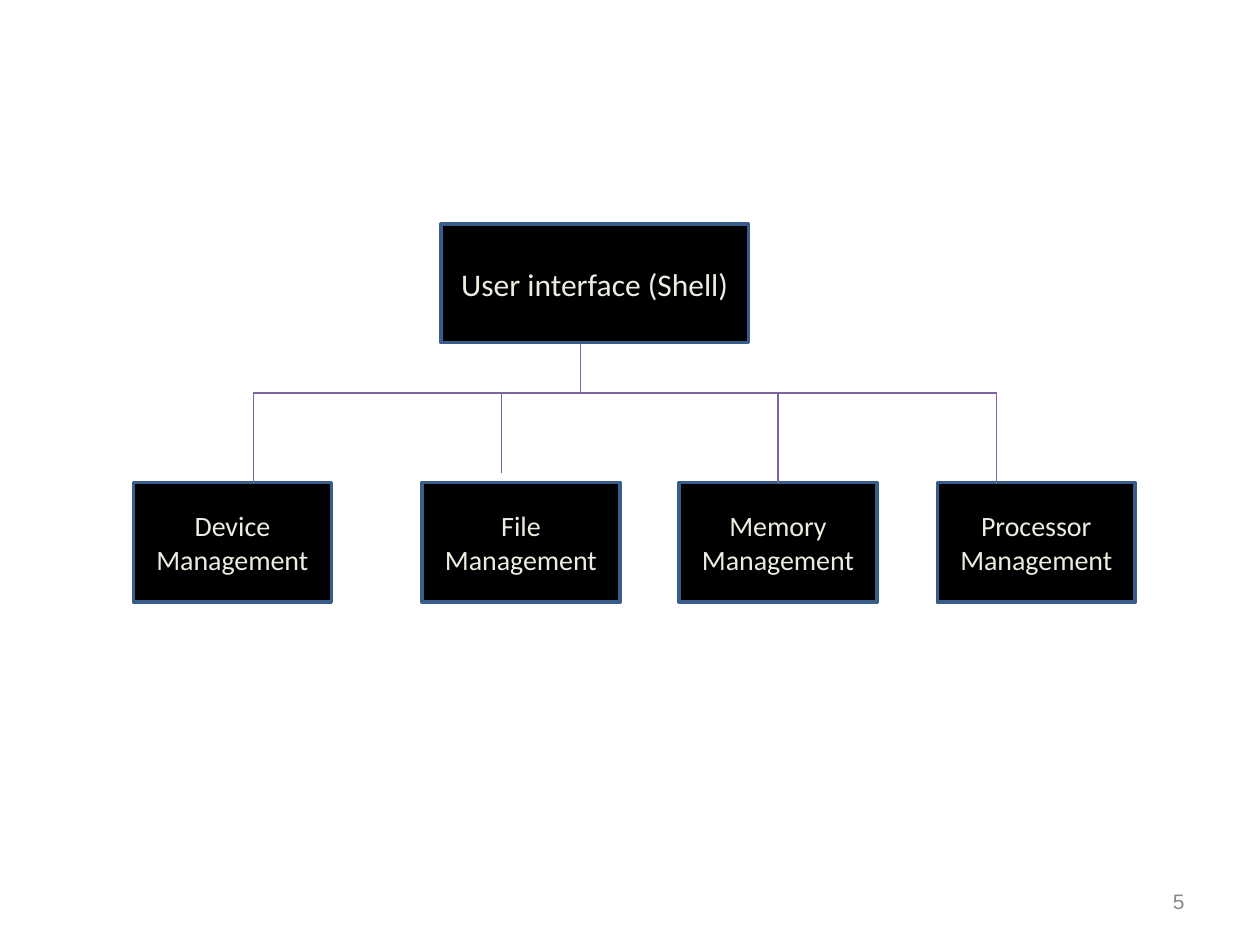
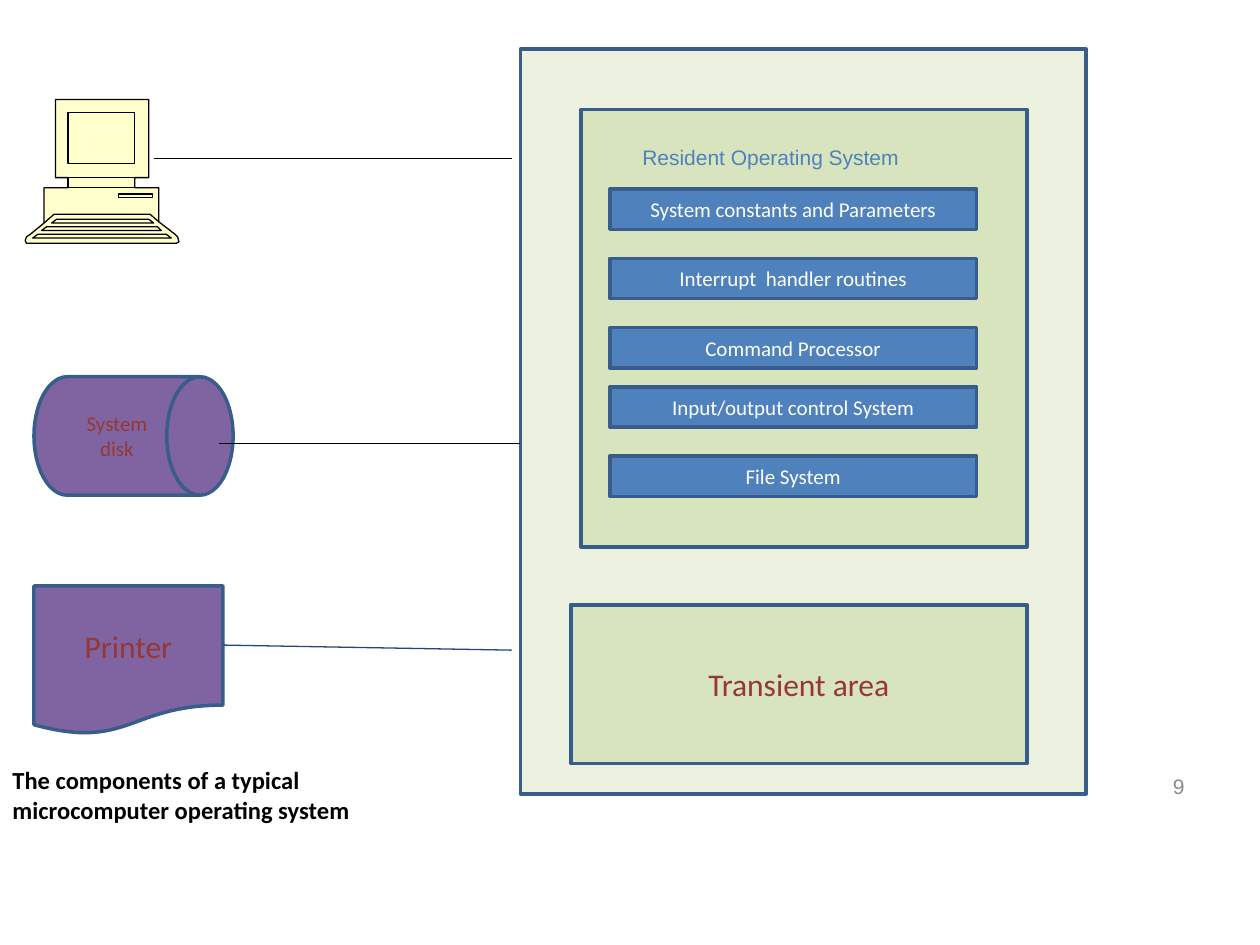
from lxml import etree
from pptx import Presentation
from pptx.dml.color import RGBColor
from pptx.enum.shapes import MSO_CONNECTOR, MSO_SHAPE
from pptx.enum.text import MSO_ANCHOR, PP_ALIGN
from pptx.oxml.ns import qn
from pptx.util import Inches, Pt

RECT = MSO_SHAPE.RECTANGLE
DRUM = MSO_SHAPE.FLOWCHART_MAGNETIC_DISK
DRUM = MSO_SHAPE.FLOWCHART_DIRECT_ACCESS_STORAGE
PAPER = MSO_SHAPE.FLOWCHART_DOCUMENT
STRAIGHT = MSO_CONNECTOR.STRAIGHT
LEFT, MID, RIGHT = PP_ALIGN.LEFT, PP_ALIGN.CENTER, PP_ALIGN.RIGHT
TOP, CENTER, BOTTOM = MSO_ANCHOR.TOP, MSO_ANCHOR.MIDDLE, MSO_ANCHOR.BOTTOM

EDGE, BLACK, CREAM, PURPLE = "385D8A", "000000", "EEECE1", "8064A2"
BLUE, WHITE, RED, GREEN = "4F81BD", "FFFFFF", "953735", "D7E4BD"
PALE, NAVY, GREY, YELLOW = "EBF1DE", "1F497D", "898989", "FFFFCC"

SHELL = ("User interface (Shell)", (3.5, 1.78, 2.44, 0.94))
UNITS = [
    ("Device Management", 1.06, 2.01, 3.83),
    ("File Management", 3.35, 3.98, 3.75),
    ("Memory Management", 5.39, 6.175, 3.83),
    ("Processor Management", 7.44, 7.91, 3.83),
]
BUS, STEM = 3.12, 4.61

CAPTION = "The components of a typical microcomputer operating system"
PARTS = [
    ("System constants and Parameters", 1.5),
    ("Interrupt  handler routines", 2.05),
    ("Command Processor", 2.6),
    ("Input/output control System", 3.07),
    ("File System", 3.62),
]
PANELS = [
    (RECT, (4.13, 0.39, 4.49, 5.91), PALE, "", 12),
    (RECT, (4.61, 0.87, 3.54, 3.47), GREEN, "", 12),
    (RECT, (4.53, 4.8, 3.62, 1.26), GREEN, "Transient area", 18),
    (DRUM, (0.27, 2.99, 1.58, 0.94), PURPLE, "System disk", 12),
    (PAPER, (0.27, 4.65, 1.5, 1.18), PURPLE, "Printer", 18),
]
WIRES = [
    ((1.22, 1.26), (4.06, 1.26), BLACK),
    ((1.74, 3.52), (4.13, 3.52), BLACK),
    ((1.77, 5.12), (4.06, 5.16), NAVY),
]
BODY = [
    (1.39, 1.86), (1.26, 1.76), (1.26, 1.49), (1.07, 1.49), (1.07, 1.41),
    (1.18, 1.41), (1.18, 0.79), (0.44, 0.79), (0.44, 1.41), (0.54, 1.41),
    (0.54, 1.49), (0.35, 1.49), (0.35, 1.77), (0.24, 1.86), (0.21, 1.88),
    (0.2, 1.91), (0.21, 1.93), (1.4, 1.93), (1.42, 1.92), (1.41, 1.88),
]
KEYS = [
    [(0.35, 1.77), (0.43, 1.7), (1.19, 1.7), (1.26, 1.76)],
    [(1.22, 1.77), (1.18, 1.74), (0.45, 1.74), (0.41, 1.77)],
    [(1.28, 1.83), (1.25, 1.8), (0.37, 1.8), (0.33, 1.83)],
    [(1.36, 1.89), (1.32, 1.86), (0.3, 1.86), (0.26, 1.89)],
]
PANES = [(0.54, 0.89, 0.53, 0.41), (0.54, 1.41, 0.53, 0.08), (0.94, 1.54, 0.27, 0.03)]


def color(code):
    return RGBColor.from_string(code)


def paint(shape, fill, edge=EDGE, width=2):
    shape.shadow.inherit = False
    shape.fill.solid()
    shape.fill.fore_color.rgb = color(fill)
    shape.line.color.rgb = color(edge)
    shape.line.width = Pt(width)


def write(shape, text, size, ink, align=MID, anchor=CENTER, face="Calibri", bold=False):
    frame = shape.text_frame
    frame.word_wrap = True
    frame.vertical_anchor = anchor
    para = frame.paragraphs[0]
    para.text = text
    para.alignment = align
    form = {"size": Pt(size), "name": face, "bold": bold}
    for key, value in form.items():
        setattr(para.font, key, value)
    para.font.color.rgb = color(ink)


def block(slide, kind, area, fill, text="", size=12, ink=WHITE):
    shape = slide.shapes.add_shape(kind, *map(Inches, area))
    paint(shape, fill)
    if text:
        write(shape, text, size, ink)
    return shape


def label(slide, area, *args, **form):
    write(slide.shapes.add_textbox(*map(Inches, area)), *args, **form)


def number(slide, text, top):
    label(slide, (7.17, top, 2.33, 0.4), text, 12, GREY, align=RIGHT, face="Arial")


def wire(slide, start, end, ink):
    line = slide.shapes.add_connector(STRAIGHT, *map(Inches, start + end))
    line.line.color.rgb = color(ink)
    line.line.width = Pt(0.75)
    etree.SubElement(line._element.spPr, qn("a:effectLst"))
    return line


def outline(slide, points, close=True):
    dots = [(Inches(x), Inches(y)) for x, y in points]
    pen = slide.shapes.build_freeform(*dots[0])
    pen.add_line_segments(dots[1:], close=close)
    paint(pen.convert_to_shape(), YELLOW, BLACK, 0.75)


def draw_tree(slide):
    number(slide, "5", 6.95)
    name, area = SHELL
    block(slide, RECT, area, BLACK, name, 18, CREAM)
    wire(slide, (UNITS[0][2], BUS), (UNITS[-1][2], BUS), PURPLE)
    wire(slide, (STEM, 2.73), (STEM, BUS), PURPLE)
    wide = 1.57
    for name, left, drop, foot in UNITS:
        box = block(slide, RECT, (left, 3.83, wide, 0.95), BLACK, name, 16, CREAM)
        line = wire(slide, (drop, BUS), (drop, foot), PURPLE)
        if abs(left + wide / 2 - drop) < 0.01:
            line.end_connect(box, 0)


def draw_system(slide):
    label(slide, (0, 5.97, 3.58, 0.62), CAPTION, 14, BLACK,
          align=LEFT, anchor=BOTTOM, bold=True)
    number(slide, "9", 6.04)
    outline(slide, BODY)
    for row, points in enumerate(KEYS):
        outline(slide, points, close=row > 0)
    for area in PANES:
        pane = slide.shapes.add_shape(RECT, *map(Inches, area))
        paint(pane, YELLOW, BLACK, 0.75)
    for kind, area, fill, text, size in PANELS:
        block(slide, kind, area, fill, text, size, RED)
    label(slide, (5, 1.1, 2.6, 0.3), "Resident Operating System", 12, BLUE,
          align=LEFT, anchor=TOP, face="Arial")
    for text, top in PARTS:
        block(slide, RECT, (4.84, top, 2.91, 0.32), BLUE, text)
    for start, end, ink in WIRES:
        wire(slide, start, end, ink)


def main():
    deck = Presentation()
    deck.slide_width, deck.slide_height = Inches(10), Inches(7.5)
    for draw in (draw_tree, draw_system):
        draw(deck.slides.add_slide(deck.slide_layouts[6]))
    deck.save("out.pptx")


if __name__ == "__main__":
    main()
